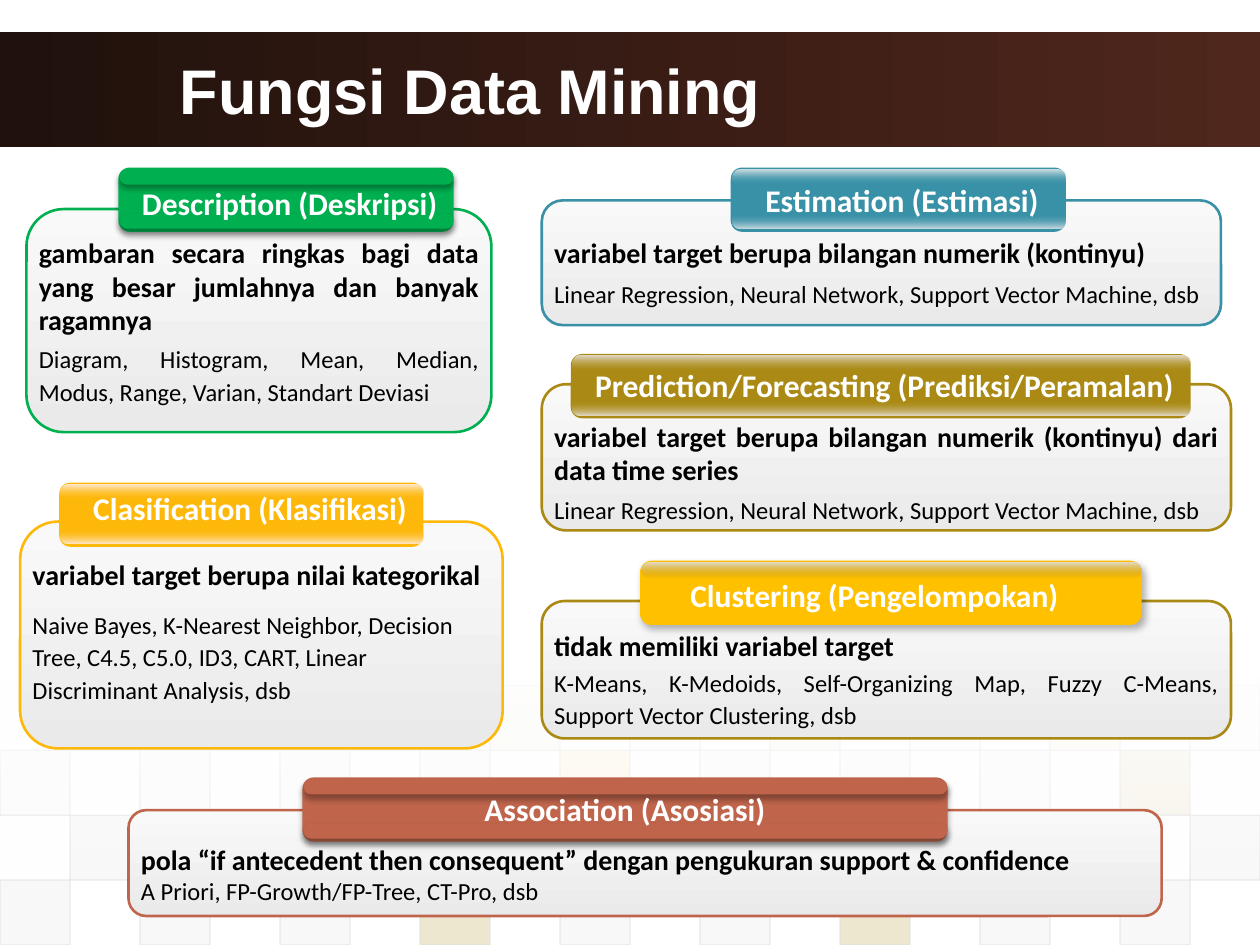
"""Build the slide on data mining functions."""
from lxml import etree
from pptx import Presentation
from pptx.dml.color import RGBColor
from pptx.enum.shapes import MSO_SHAPE
from pptx.enum.text import MSO_ANCHOR, PP_ALIGN
from pptx.oxml.ns import qn
from pptx.util import Inches, Pt

RECT, ROUND = MSO_SHAPE.RECTANGLE, MSO_SHAPE.ROUNDED_RECTANGLE
LEFT, CENTER, JUSTIFY = PP_ALIGN.LEFT, PP_ALIGN.CENTER, PP_ALIGN.JUSTIFY
TOP, MIDDLE = MSO_ANCHOR.TOP, MSO_ANCHOR.MIDDLE
CELL = Inches(0.1)
COLUMNS, ROWS = 100, 75
WHITE, BLACK = "FFFFFF", "000000"
GOLD, AMBER, GREY, PALE = "AA8A14", "FEB80A", "DDDDDD", "EAEAEA"
GREEN, TEAL, RUST, YELLOW = "00B050", "3891A7", "C0654C", "FFC000"

deck = Presentation()
deck.slide_width, deck.slide_height = COLUMNS * CELL, ROWS * CELL
page = deck.slides.add_slide(deck.slide_layouts[6])


def draw(kind, area, colors, alphas=(100, 100), angle=270, corner=None,
         line=None, line_alpha=100, line_width=1.5, shadow=None):
    """Draw a filled shape on the grid; two colours make a gradient."""
    shape = page.shapes.add_shape(kind, *(round(n * CELL) for n in area))
    shape.shadow.inherit = False
    if corner is not None:
        shape.adjustments[0] = corner
    if len(colors) == 1:
        shape.fill.solid()
        targets = [shape.fill.fore_color]
    else:
        shape.fill.gradient()
        shape.fill.gradient_angle = angle
        targets = [stop.color for stop in shape.fill.gradient_stops]
    for target, color in zip(targets, colors):
        target.rgb = RGBColor.from_string(color)
    if line:
        shape.line.color.rgb = RGBColor.from_string(line)
        shape.line.width = Pt(line_width)
    else:
        shape.line.fill.background()
    paints = list(shape._element.spPr.iter(qn("a:srgbClr")))
    shares = list(alphas[:len(colors)]) + [line_alpha]
    for paint, share in zip(paints, shares):
        if share < 100:
            etree.SubElement(paint, qn("a:alpha"), val=str(share * 1000))
    if shadow:
        alpha, blur, distance, direction = shadow
        effects = shape._element.spPr.find(qn("a:effectLst"))
        outer = etree.SubElement(
            effects, qn("a:outerShdw"), blurRad=str(Pt(blur)), dist=str(Pt(distance)),
            dir=str(direction * 60000), rotWithShape="0")
        paint = etree.SubElement(outer, qn("a:srgbClr"), val=BLACK)
        etree.SubElement(paint, qn("a:alpha"), val=str(alpha * 1000))


def write(area, text, size, font="Calibri", color=BLACK, bold=True,
          align=LEFT, anchor=TOP, spacing=1.0, shadow=True):
    """Write one paragraph in a text box on the grid."""
    box = page.shapes.add_textbox(*(round(n * CELL) for n in area))
    frame = box.text_frame
    frame.word_wrap, frame.vertical_anchor = True, anchor
    para = frame.paragraphs[0]
    para.alignment, para.line_spacing = align, spacing
    span = para.add_run()
    span.text = text
    para.font.name, para.font.size, para.font.bold = font, Pt(size), bold
    para.font.color.rgb = RGBColor.from_string(color)
    props = span._r.get_or_add_rPr()
    span.font.name, span.font.size, span.font.bold = font, Pt(size), bold
    span.font.color.rgb = RGBColor.from_string(color)
    if shadow:
        effects = etree.Element(qn("a:effectLst"))
        outer = etree.SubElement(effects, qn("a:outerShdw"), blurRad="38100",
                                 dist="38100", dir="2700000")
        etree.SubElement(outer, qn("a:srgbClr"), val="C0C0C0")
        props.insert(1, effects)


draw(RECT, (0, 2.5, COLUMNS, 9.2), ("20110C", "4F271C"), angle=0)

tile_colors = {"g": GREY, "p": PALE, "o": GOLD, "a": AMBER}
tile_width, tile_height = COLUMNS / 18, 5.15
tile_rows = [(1, 5, "oppogopap"), (0, 10, "ggggagggo"),
             (1, 20, "gaggggagg"), (0, 20, "gggoggogg")]
for row, (offset, alpha, codes) in enumerate(tile_rows):
    for index, code in enumerate(codes):
        tile = ((offset + 2 * index) * tile_width, 54.4 + row * tile_height,
                tile_width, tile_height)
        draw(RECT, tile, (tile_colors[code],), (alpha,),
             line=GREY, line_alpha=60, line_width=0.75)
draw(RECT, (0, 53.7, COLUMNS, 16.2), (WHITE, WHITE), (90, 0))

write((13.3, 2.5, 80.8, 9.2), "Fungsi Data Mining", 36, "Arial", WHITE,
      anchor=MIDDLE, shadow=False)

soft, drop = (30, 4.5, 2.6, 53), (32, 3.5, 2.2, 90)
regression = "Linear Regression, Neural Network, Support Vector Machine, dsb"
panels = [
    (GOLD, GOLD, (43, 30.5, 54.7, 11.6), (45.3, 28.1, 49.2), None, ("E4DCCF", "E6DFD4"),
     "Prediction/Forecasting (Prediksi/Peramalan)", 0.3, 28.6,
     "variabel target berupa bilangan numerik (kontinyu) dari data time series",
     32.8, JUSTIFY, regression, 38.6, JUSTIFY),
    (AMBER, AMBER, (1.6, 41.4, 38.3, 18), (4.7, 38.3, 28.9), None, ("FFEBD8", "FFE9D4"),
     "Clasification (Klasifikasi)", 0.7, 38.3,
     "variabel target berupa nilai kategorikal", 43.8, LEFT,
     "Naive Bayes, K-Nearest Neighbor, Decision Tree, C4.5, C5.0, ID3, CART, "
     "Linear Discriminant Analysis, dsb", 47.7, LEFT),
    (RUST, RUST, (10.2, 64.3, 82, 8.4), (24, 61.7, 51.2), drop, (),
     "Association (Asosiasi)", 0, 62.2,
     "pola “if antecedent then consequent” dengan pengukuran support & confidence",
     66.4, LEFT, "A Priori, FP-Growth/FP-Tree, CT-Pro, dsb", 68.8, LEFT),
    (GOLD, YELLOW, (43, 47.7, 54.7, 10.9), (50.8, 44.5, 39.8), soft, ("E4DCCF",),
     "Clustering (Pengelompokan)", -1.3, 45.2,
     "tidak memiliki variabel target", 49.4, LEFT,
     "K-Means, K-Medoids, Self-Organizing Map, Fuzzy C-Means, "
     "Support Vector Clustering, dsb", 52.3, JUSTIFY),
    (GREEN, GREEN, (2.1, 16.6, 36.9, 17.7), (9.4, 13.3, 26.6), drop, (),
     "Description (Deskripsi)", 0.3, 14.1,
     "gambaran secara ringkas bagi data yang besar jumlahnya dan banyak ragamnya",
     18.2, JUSTIFY,
     "Diagram, Histogram, Mean, Median, Modus, Range, Varian, Standart Deviasi",
     26.6, JUSTIFY),
    (TEAL, TEAL, (43, 15.9, 53.9, 9.9), (58, 13.3, 26.6), None, ("D5E1E5", "D1DEE3"),
     "Estimation (Estimasi)", 0.3, 13.9,
     "variabel target berupa bilangan numerik (kontinyu)", 18.2, JUSTIFY,
     regression, 21.4, JUSTIFY),
]
for (color, tab_color, body, tab, shadow, glows, heading, shift, heading_top,
     purpose, purpose_top, purpose_align, methods, methods_top, methods_align) in panels:
    left, top, width = tab
    draw(ROUND, body, ("F9F9F9", PALE), corner=0.167, line=color)
    draw(ROUND, (left, top, width, 5.1), (tab_color,), corner=0.175, shadow=shadow)
    upper = (left + 0.1, top + 0.15, width - 0.1, 1.2)
    lower = (left + 0.1, top + 3.65, width - 0.1, 1.2)
    if glows:
        draw(ROUND, upper, (glows[0], color), (100, 0), corner=0.5)
        for glow in glows[1:]:
            draw(ROUND, lower, (color, glow), (0, 100), corner=0.5)
    else:
        for strip in (lower, upper):
            draw(ROUND, strip, (color,), corner=0.5, shadow=shadow)
    write((left + shift, heading_top, width, 4), heading, 18, color=WHITE, align=CENTER)
    write((body[0], purpose_top, body[2], 3.7), purpose, 16, align=purpose_align)
    write((body[0], methods_top, body[2], 3.6), methods, 14, bold=False,
          align=methods_align, spacing=1.1, shadow=False)

deck.save("out.pptx")
